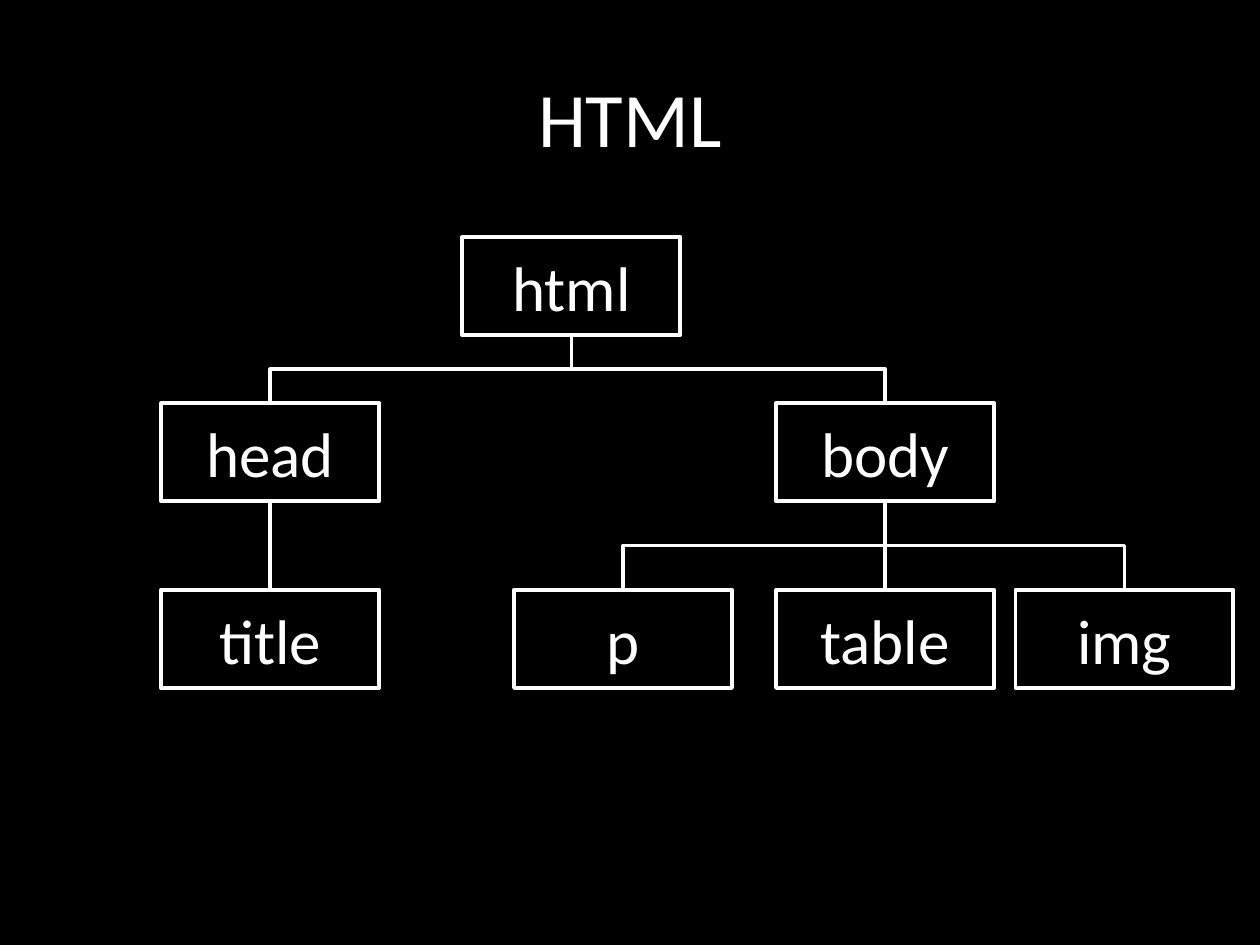
"""Build a slide showing the element tree of an HTML document."""
from dataclasses import dataclass

from lxml.etree import SubElement
from pptx import Presentation
from pptx.dml.color import RGBColor
from pptx.enum.shapes import MSO_CONNECTOR as Connector, MSO_SHAPE as Shape
from pptx.enum.text import MSO_ANCHOR as Anchor, PP_ALIGN as Align
from pptx.oxml.ns import qn
from pptx.util import Inches, Pt


@dataclass(frozen=True)
class Theme:
    background: RGBColor = RGBColor(0, 0, 0)
    foreground: RGBColor = RGBColor(255, 255, 255)
    font: str = "Calibri"
    title_size: Pt = Pt(44)
    node_size: Pt = Pt(36)
    border: Pt = Pt(2.25)
    branch: Pt = Pt(2)


class TreeSlide:
    def __init__(self, slide, theme):
        self.slide, self.theme = slide, theme
        slide.background.fill.solid()
        slide.background.fill.fore_color.rgb = theme.background

    def label(self, shape, wording, size):
        frame = shape.text_frame
        frame.text = wording
        frame.word_wrap = True
        frame.vertical_anchor = Anchor.MIDDLE
        paragraph = frame.paragraphs[0]
        paragraph.alignment = Align.CENTER
        font = paragraph.runs[0].font
        font.name, font.size = self.theme.font, size
        font.color.rgb = self.theme.foreground

    def title(self, wording, left, top, width, height):
        heading = self.slide.shapes.add_textbox(
            Inches(left), Inches(top), Inches(width), Inches(height))
        self.label(heading, wording, self.theme.title_size)

    def node(self, tag, left, top, width, height):
        box = self.slide.shapes.add_shape(
            Shape.RECTANGLE, Inches(left), Inches(top), Inches(width), Inches(height))
        box.shadow.inherit = False
        box.fill.solid()
        box.fill.fore_color.rgb = self.theme.background
        box.line.color.rgb = self.theme.foreground
        box.line.width = self.theme.border
        self.label(box, tag, self.theme.node_size)
        return box

    def branch(self, parent, child):
        straight = parent.left == child.left
        kind = Connector.STRAIGHT if straight else Connector.ELBOW
        link = self.slide.shapes.add_connector(kind, 0, 0, 0, 0)
        link.begin_connect(parent, 2)
        link.end_connect(child, 0)
        if not straight:
            self.turn_downward(link, rightward=child.left > parent.left)
        link.line.color.rgb = self.theme.foreground
        link.line.width = self.theme.branch
        SubElement(link._element.spPr, qn("a:effectLst"))

    def turn_downward(self, link, rightward):
        span, drop = link.width, link.height
        shift = (span - drop) // 2
        link.left, link.top = link.left + shift, link.top - shift
        link.width, link.height = drop, span
        xfrm = link._element.spPr.find(qn("a:xfrm"))
        xfrm.set("rot", str((270 if rightward else 90) * 60000))
        xfrm.set("flipH", "1" if rightward else "0")
        xfrm.set("flipV", "0")


def main():
    deck = Presentation()
    deck.slide_width, deck.slide_height = Inches(10), Inches(7.5)
    tree = TreeSlide(deck.slides.add_slide(deck.slide_layouts[6]), Theme())
    tree.title("HTML", 0.5, 0.3, 9, 1.25)

    node_width, node_height = 1.73, 0.78
    level_tops = (1.88, 3.2, 4.68)
    head_left, body_left = 1.28, 6.16
    elements = [
        ("html", 3.67, 0, None),
        ("head", head_left, 1, "html"),
        ("body", body_left, 1, "html"),
        ("title", head_left, 2, "head"),
        ("p", 4.08, 2, "body"),
        ("table", body_left, 2, "body"),
        ("img", 8.06, 2, "body"),
    ]
    nodes = {
        tag: tree.node(tag, left, level_tops[level], node_width, node_height)
        for tag, left, level, _ in elements
    }
    for tag, _, _, parent in elements:
        if parent:
            tree.branch(nodes[parent], nodes[tag])

    deck.save("out.pptx")


if __name__ == "__main__":
    main()
